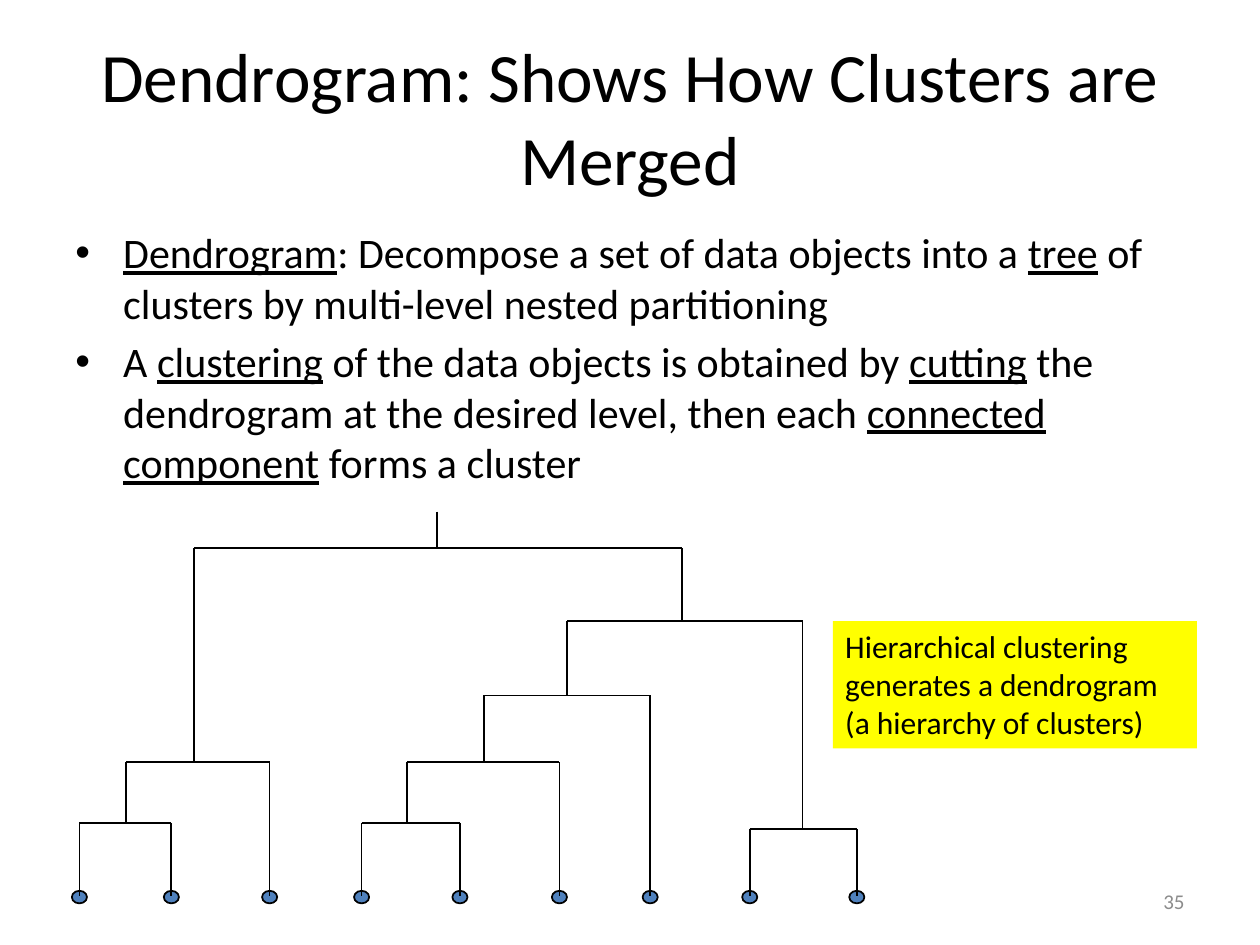
import pptx
import pptx.util
import pptx.dml.color
import pptx.enum.shapes
import pptx.enum.text
import pptx.oxml
import pptx.oxml.ns

EMU_PER_PX = 9144  # 100 px to the inch
COLORS = {"text": "000000", "line": "000000", "leaf": "4F81BD",
          "note": "FFFF00", "number": "8C8C8C"}
ALIGN = pptx.enum.text.PP_ALIGN
ANCHOR = pptx.enum.text.MSO_ANCHOR
SHAPE = pptx.enum.shapes.MSO_SHAPE


def px(*lengths):
    return [pptx.util.Emu(n * EMU_PER_PX) for n in lengths]


def rgb(name):
    return pptx.dml.color.RGBColor.from_string(COLORS[name])


class SlideBuilder:
    font = "Calibri"
    line_width = pptx.util.Pt(1)

    def __init__(self, slide):
        self.s = slide

    def style(self, r, size, color="text", underline=None):
        r.font.name = self.font
        r.font.size = pptx.util.Pt(size)
        r.font.color.rgb = rgb(color)
        r.font.underline = underline

    def fill_text(self, tf, text, size, color="text", align=ALIGN.LEFT, anchor=ANCHOR.TOP):
        tf.word_wrap = True
        tf.auto_size = pptx.enum.text.MSO_AUTO_SIZE.NONE
        tf.vertical_anchor = anchor
        tf.text = text
        p = tf.paragraphs[0]
        p.alignment = align
        self.style(p.runs[0], size, color)

    def title(self, text, box, size):
        sp = self.s.shapes.title
        sp.left, sp.top, sp.width, sp.height = px(*box)
        self.fill_text(sp.text_frame, text, size, align=ALIGN.CENTER, anchor=ANCHOR.MIDDLE)

    def text(self, text, box, size, **options):
        sp = self.s.shapes.add_textbox(*px(*box))
        self.fill_text(sp.text_frame, text, size, **options)

    def bullets(self, items, box, size):
        """Each item is a list of pieces; every second piece is underlined."""
        tf = self.s.shapes.add_textbox(*px(*box)).text_frame
        tf.word_wrap = True
        for i, pieces in enumerate(items):
            p = tf.paragraphs[0] if i == 0 else tf.add_paragraph()
            pPr = p._p.get_or_add_pPr()
            indent = px(38)[0]
            pPr.set("marL", str(indent))
            pPr.set("indent", str(-indent))
            for tag, key, value in (("a:buFont", "typeface", "Arial"), ("a:buChar", "char", "•")):
                bullet = pptx.oxml.ns.qn(tag)
                pPr.append(pptx.oxml.parse_xml(
                    f'<{tag} xmlns:a="{bullet[1:].split("}")[0]}" {key}="{value}"/>'))
            if i:
                p.space_before = pptx.util.Pt(0.2 * size)
            for j, piece in enumerate(pieces):
                if piece:
                    r = p.add_run()
                    r.text = piece
                    self.style(r, size, underline=j % 2 == 1)

    def shape(self, kind, box, fill, outlined=False):
        sp = self.s.shapes.add_shape(kind, *px(*box))
        sp.shadow.inherit = False
        sp.fill.solid()
        sp.fill.fore_color.rgb = rgb(fill)
        if outlined:
            sp.line.color.rgb = rgb("line")
            sp.line.width = self.line_width
        else:
            sp.line.fill.background()
        return sp

    def note(self, text, box, size):
        sp = self.shape(SHAPE.RECTANGLE, box, "note")
        self.fill_text(sp.text_frame, text, size)

    def line(self, x1, y1, x2, y2):
        cx = self.s.shapes.add_connector(
            pptx.enum.shapes.MSO_CONNECTOR.STRAIGHT, *px(x1, y1, x2, y2))
        cx.line.color.rgb = rgb("line")
        cx.line.width = self.line_width
        cx._element.spPr.append(pptx.oxml.parse_xml(
            '<a:effectLst xmlns:a="http://schemas.openxmlformats.org/drawingml/2006/main"/>'))

    def merge(self, y, left, left_end, right, right_end):
        """A bracket at height y whose two legs reach down to its children."""
        self.line(left, y, right, y)
        self.line(left, y, left, left_end)
        self.line(right, y, right, right_end)


def main():
    prs = pptx.Presentation()
    prs.slide_width, prs.slide_height = px(1000, 750)
    b = SlideBuilder(prs.slides.add_slide(prs.slide_layouts[5]))

    # Title, bullets and slide number
    b.title("Dendrogram: Shows How Clusters are Merged", (50, 30, 900, 125), 39.6)
    b.bullets([
        ["", "Dendrogram", ": Decompose a set of data objects into a ", "tree",
         " of clusters by multi-level nested partitioning"],
        ["A ", "clustering", " of the data objects is obtained by ", "cutting",
         " the dendrogram at the desired level, then each ", "connected component",
         " forms a cluster"],
    ], (50, 175, 900, 220), 24)
    b.text("35", (717, 695, 233, 40), 12, color="number", align=ALIGN.RIGHT,
           anchor=ANCHOR.MIDDLE)

    # Data objects
    leaf_y = 711
    for x in (63, 136, 214, 287, 365, 444, 516, 595, 680):
        b.shape(SHAPE.OVAL, (x - 6, leaf_y - 4, 12, 10), "leaf", outlined=True)

    # Merges, from the leaves up: height, left leg and its end, right leg and its end
    for bracket in (
        (653, 63, leaf_y, 136, leaf_y),
        (653, 287, leaf_y, 365, leaf_y),
        (658, 595, leaf_y, 680, leaf_y),
        (605, 100, 653, 214, leaf_y),
        (605, 323, 653, 444, leaf_y),
        (552, 384, 605, 516, leaf_y),
        (493, 450, 552, 637, 658),
        (435, 154, 605, 541, 493),
    ):
        b.merge(*bracket)
    b.line(347, 406, 347, 435)

    # Explanation
    b.note("Hierarchical clustering generates a dendrogram (a hierarchy of clusters)",
           (661, 493, 289, 101), 18)

    prs.save("out.pptx")


if __name__ == "__main__":
    main()
